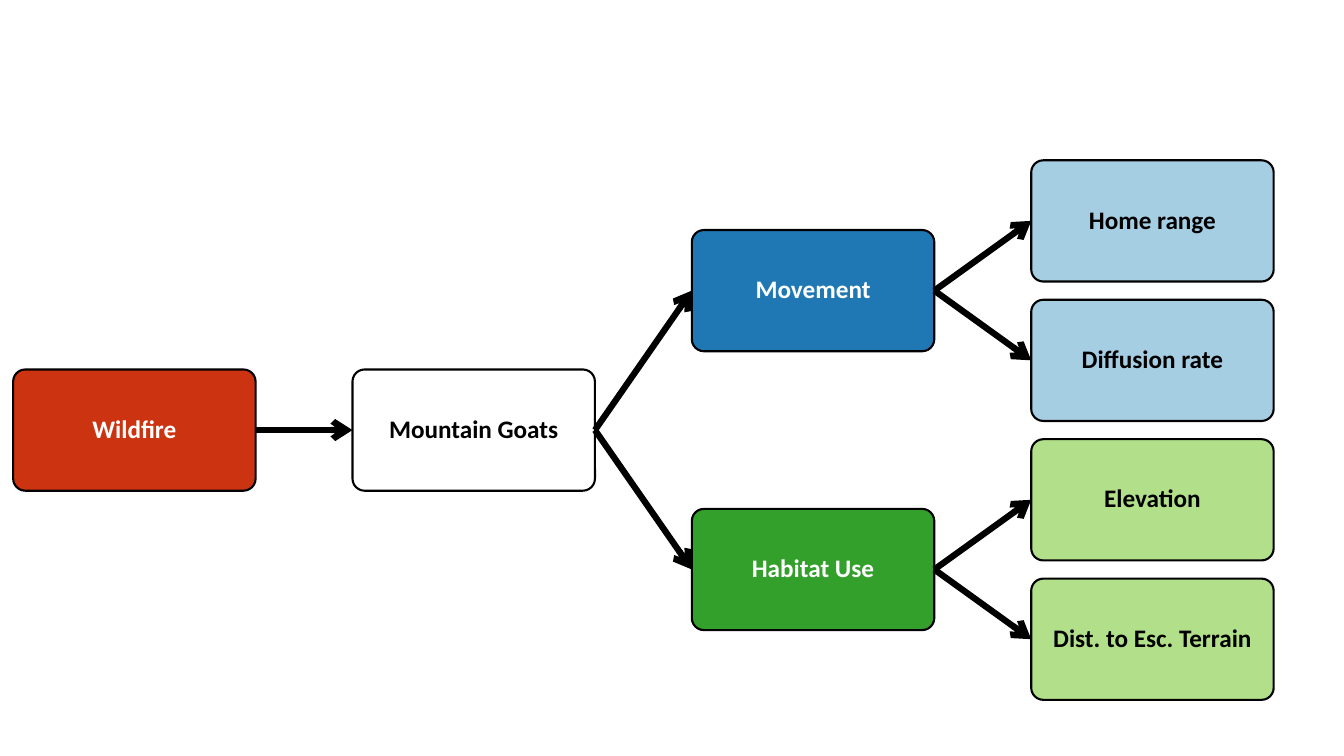
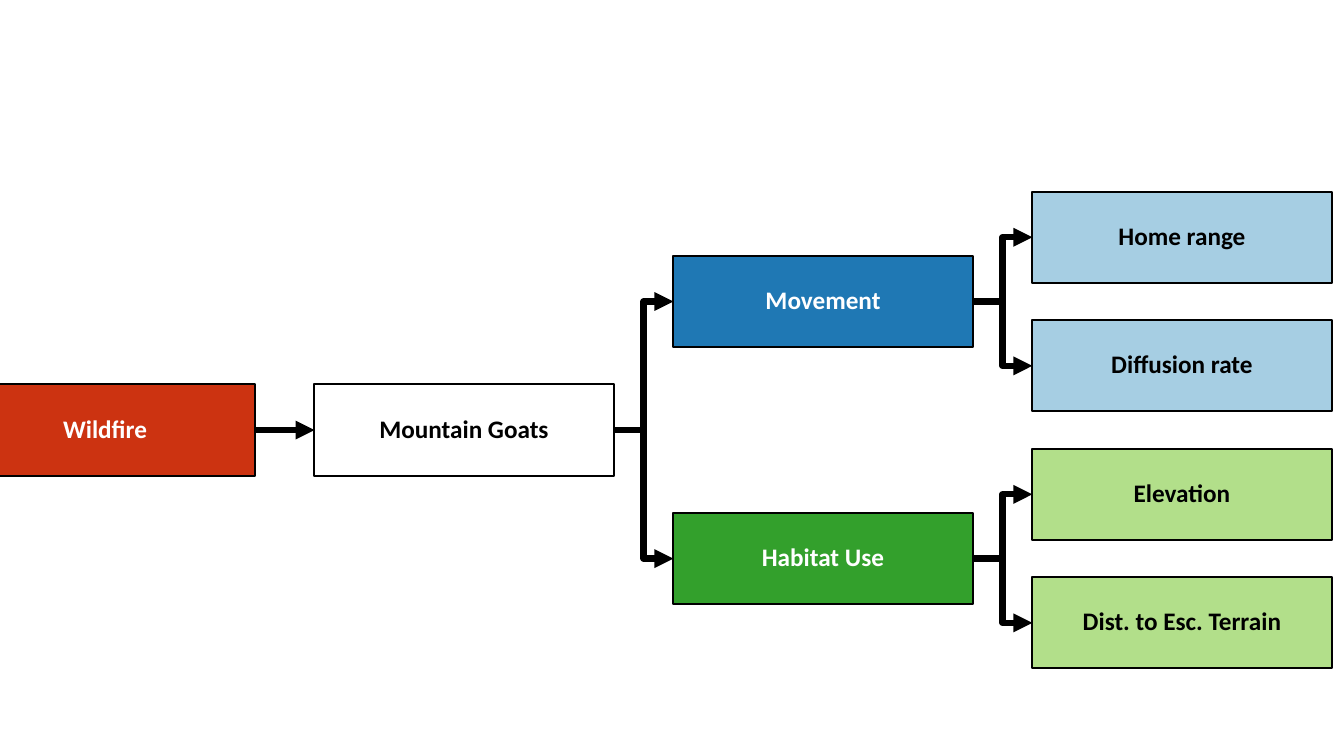
from pptx import Presentation
from pptx.dml.color import RGBColor
from pptx.enum.shapes import MSO_CONNECTOR as LINK, MSO_SHAPE as SHAPE
from pptx.enum.text import MSO_ANCHOR, PP_ALIGN
from pptx.oxml.ns import qn
from pptx.util import Pt
from lxml.etree import SubElement

BLACK = RGBColor(0x00, 0x00, 0x00)
WHITE = RGBColor(0xFF, 0xFF, 0xFF)
RED = RGBColor(0xCC, 0x33, 0x11)
BLUE = RGBColor(0x1F, 0x78, 0xB4)
GREEN = RGBColor(0x33, 0xA0, 0x2C)
PALE_BLUE = RGBColor(0xA6, 0xCE, 0xE3)
PALE_GREEN = RGBColor(0xB2, 0xDF, 0x8A)

FONT = "Calibri"
CENTER_Y = 307.2
LEFT_SITE, RIGHT_SITE = 1, 3

# name, parent, column, row offset from the center, fill, text colour
NODES = [
    ("Wildfire", None, 0, 0, RED, WHITE),
    ("Mountain Goats", "Wildfire", 1, 0, WHITE, BLACK),
    ("Movement", "Mountain Goats", 2, -1, BLUE, WHITE),
    ("Home range", "Movement", 3, -1.5, PALE_BLUE, BLACK),
    ("Diffusion rate", "Movement", 3, -0.5, PALE_BLUE, BLACK),
    ("Habitat Use", "Mountain Goats", 2, 1, GREEN, WHITE),
    ("Elevation", "Habitat Use", 3, 0.5, PALE_GREEN, BLACK),
    ("Dist. to Esc. Terrain", "Habitat Use", 3, 1.5, PALE_GREEN, BLACK),
]

DIAGRAMS = [
    dict(shape=SHAPE.ROUNDED_RECTANGLE, left=9.4, width=173.2, height=86.6,
         col_step=242.4, row_step=99.6, link=LINK.STRAIGHT, head="arrow"),
    dict(shape=SHAPE.RECTANGLE, left=-31.8, width=213.8, height=65.2,
         col_step=256.4, row_step=91.8, link=LINK.ELBOW, head="triangle"),
]


def write(tf, text, size=18, color=BLACK, bold=True):
    tf.word_wrap = True
    tf.vertical_anchor = MSO_ANCHOR.MIDDLE
    tf.margin_left = tf.margin_right = tf.margin_top = tf.margin_bottom = Pt(0.8)
    p = tf.paragraphs[0]
    p.alignment = PP_ALIGN.CENTER
    p.line_spacing = 0.9
    r = p.add_run()
    r.text = text
    r.font.name, r.font.size, r.font.bold = FONT, Pt(size), bold
    r.font.color.rgb = color


def add_box(s, d, name, col, row, fill, color):
    x = d["left"] + col * d["col_step"]
    y = CENTER_Y + row * d["row_step"] - d["height"] / 2
    sp = s.shapes.add_shape(d["shape"], Pt(x), Pt(y), Pt(d["width"]), Pt(d["height"]))
    if d["shape"] == SHAPE.ROUNDED_RECTANGLE:
        sp.adjustments[0] = 0.1
    sp.shadow.inherit = False
    sp.fill.solid()
    sp.fill.fore_color.rgb = fill
    sp.line.color.rgb = BLACK
    sp.line.width = Pt(1.5)
    write(sp.text_frame, name, color=color)
    return sp


def add_arrow(s, d, parent, child):
    arrow = s.shapes.add_connector(d["link"], 0, 0, 0, 0)
    arrow.begin_connect(parent, RIGHT_SITE)
    arrow.end_connect(child, LEFT_SITE)
    arrow.line.color.rgb = BLACK
    arrow.line.width = Pt(4.5)
    ln = arrow.element.spPr.find(qn("a:ln"))
    SubElement(ln, qn("a:tailEnd"), type=d["head"])
    SubElement(arrow.element.spPr, qn("a:effectLst"))
    child.element.addprevious(arrow.element)


def add_diagram(s, d):
    boxes = {}
    for name, parent, col, row, fill, color in NODES:
        boxes[name] = add_box(s, d, name, col, row, fill, color)
        if parent:
            add_arrow(s, d, boxes[parent], boxes[name])


def main():
    prs = Presentation()
    prs.slide_width, prs.slide_height = Pt(960), Pt(540)
    for d in DIAGRAMS:
        add_diagram(prs.slides.add_slide(prs.slide_layouts[6]), d)
    prs.save("out.pptx")


if __name__ == "__main__":
    main()
